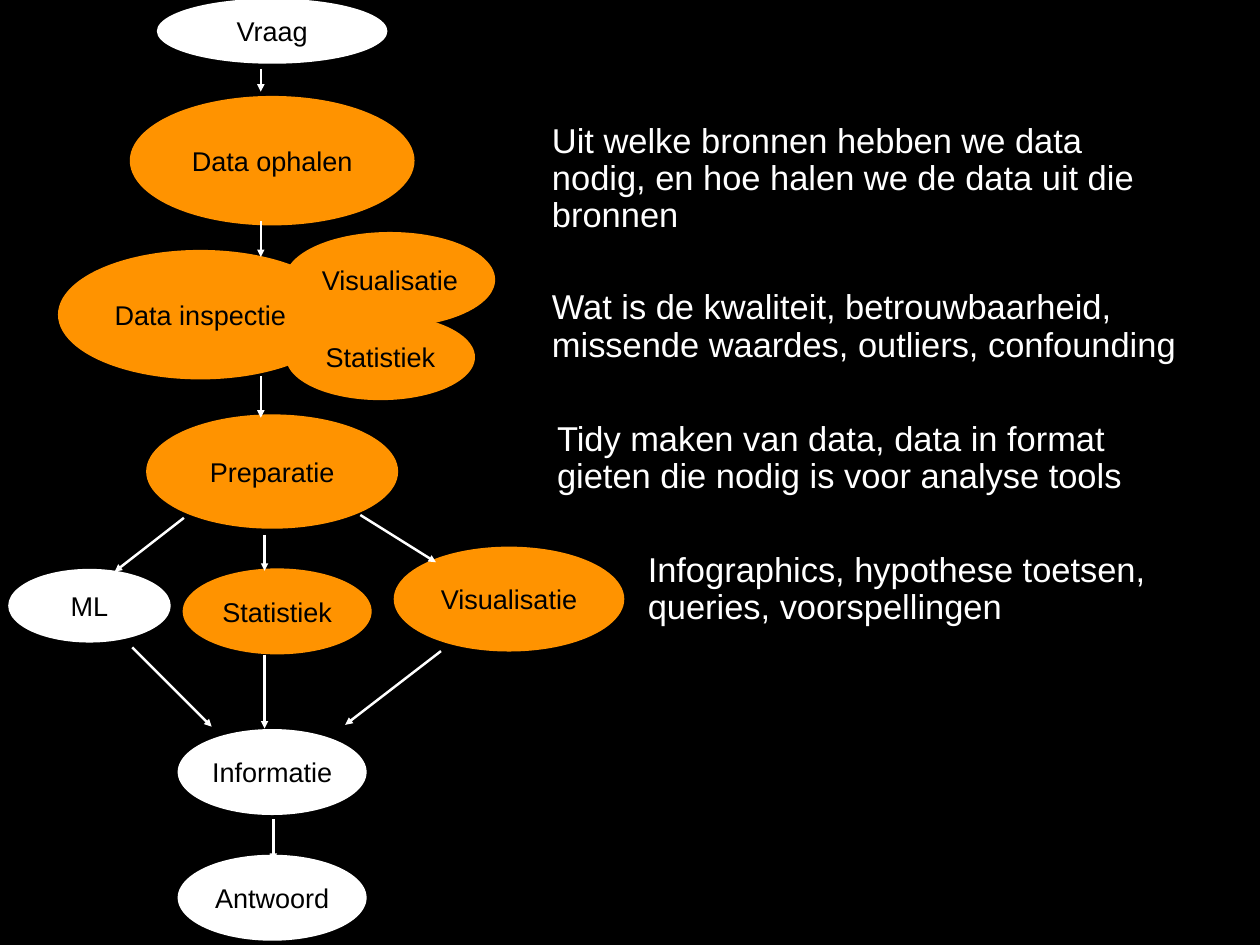
from pptx import Presentation
from pptx.dml.color import RGBColor
from pptx.enum.shapes import MSO_CONNECTOR as Connector, MSO_SHAPE as Shape
from pptx.enum.text import MSO_ANCHOR as Anchor, PP_ALIGN as Align
from pptx.oxml.ns import qn
from pptx.util import Inches, Pt
from lxml import etree

COLORS = {"night": "000000", "plain": "FFFFFF", "focus": "FF9300"}
FONT = "Arial"
WIDTH, HEIGHT = Inches(14.22), Inches(10.67)

# All places and sizes are percentages of the slide's width and height.
AXIS = 21.6  # centre of the main column
LARGE, MEDIUM, SMALL = (22.6, 13.7), (18.3, 11.1), (15, 9.1)

# Steps, back to front: label, centre, size, colour
STEPS = [
    ("Vraag", (AXIS, 3.3), (18.3, 6.9), "plain"),
    ("Data ophalen", (AXIS, 17), LARGE, "focus"),
    ("Data inspectie", (15.9, 33.3), LARGE, "focus"),
    ("Statistiek", (30.2, 37.8), SMALL, "focus"),
    ("Visualisatie", (30.95, 29.6), (16.7, 10.1), "focus"),
    ("Preparatie", (AXIS, 49.9), (20, 12.1), "focus"),
    ("ML", (7.1, 64.1), (12.9, 7.8), "plain"),
    ("Statistiek", (22, 64.7), SMALL, "focus"),
    ("Visualisatie", (40.4, 63.4), MEDIUM, "focus"),
    ("Informatie", (AXIS, 81.7), SMALL, "plain"),
    ("Antwoord", (AXIS, 95), SMALL, "plain"),
]

# Arrows: start, end
ARROWS = [
    ((20.7, 7.3), (20.7, 9.7)),
    ((20.7, 23.4), (20.7, 27.2)),
    ((20.7, 39.8), (20.7, 44.2)),
    ((14.6, 54.8), (9.1, 60.5)),
    ((21, 56.6), (21, 60.4)),
    ((28.6, 54.5), (34.6, 59.5)),
    ((10.5, 68.5), (16.8, 76.9)),
    ((21, 69.3), (21, 77.1)),
    ((35, 68.9), (27.4, 76.7)),
    ((21.7, 86.7), (21.7, 91.1)),
]

# Explanations: text, left and top, size
NOTES = [
    ("Uit welke bronnen hebben we data nodig, en hoe halen we de data uit die bronnen",
     (43.6, 12.6), (49.2, 12.8)),
    ("Wat is de kwaliteit, betrouwbaarheid, missende waardes, outliers, confounding",
     (43.6, 30.2), (54.1, 8.9)),
    ("Tidy maken van data, data in format gieten die nodig is voor analyse tools",
     (44, 44.1), (48.3, 8.9)),
    ("Infographics, hypothese toetsen, queries, voorspellingen",
     (51.2, 58), (48.3, 8.9)),
]


def color(name):
    return RGBColor.from_string(COLORS[name])


def scale(pair):
    x, y = pair
    return round(WIDTH * x / 100), round(HEIGHT * y / 100)


def write(shape, text, size, ink, align, wrap):
    frame = shape.text_frame
    frame.word_wrap = wrap
    frame.vertical_anchor = Anchor.MIDDLE
    frame.margin_left = frame.margin_right = Inches(0.03)
    frame.margin_top = frame.margin_bottom = Inches(0.03)
    paragraph = frame.paragraphs[0]
    paragraph.alignment = align
    run = paragraph.add_run()
    run.text = text
    run.font.name = FONT
    run.font.size = Pt(size)
    run.font.color.rgb = color(ink)
    return paragraph


def add_step(slide, label, centre, size, fill):
    (cx, cy), (width, height) = scale(centre), scale(size)
    step = slide.shapes.add_shape(
        Shape.OVAL, cx - width // 2, cy - height // 2, width, height)
    step.shadow.inherit = False
    step.fill.solid()
    step.fill.fore_color.rgb = color(fill)
    step.line.fill.background()
    write(step, label, 22, "night", Align.CENTER, False)


def add_arrow(slide, start, end):
    arrow = slide.shapes.add_connector(Connector.STRAIGHT, *scale(start), *scale(end))
    arrow.line.color.rgb = color("plain")
    arrow.line.width = Pt(2)
    etree.SubElement(arrow.line._get_or_add_ln(), qn("a:tailEnd"), type="triangle")
    etree.SubElement(arrow._element.spPr, qn("a:effectLst"))


def add_note(slide, text, corner, size):
    note = slide.shapes.add_textbox(*scale(corner), *scale(size))
    paragraph = write(note, text, 28, "plain", Align.LEFT, True)
    paragraph.line_spacing = 0.9
    paragraph.space_before = Pt(32)


def main():
    deck = Presentation()
    deck.slide_width, deck.slide_height = WIDTH, HEIGHT
    slide = deck.slides.add_slide(deck.slide_layouts[6])
    slide.background.fill.solid()
    slide.background.fill.fore_color.rgb = color("night")

    for step in STEPS:
        add_step(slide, *step)
    for arrow in ARROWS:
        add_arrow(slide, *arrow)
    for note in NOTES:
        add_note(slide, *note)

    deck.save("out.pptx")


if __name__ == "__main__":
    main()
